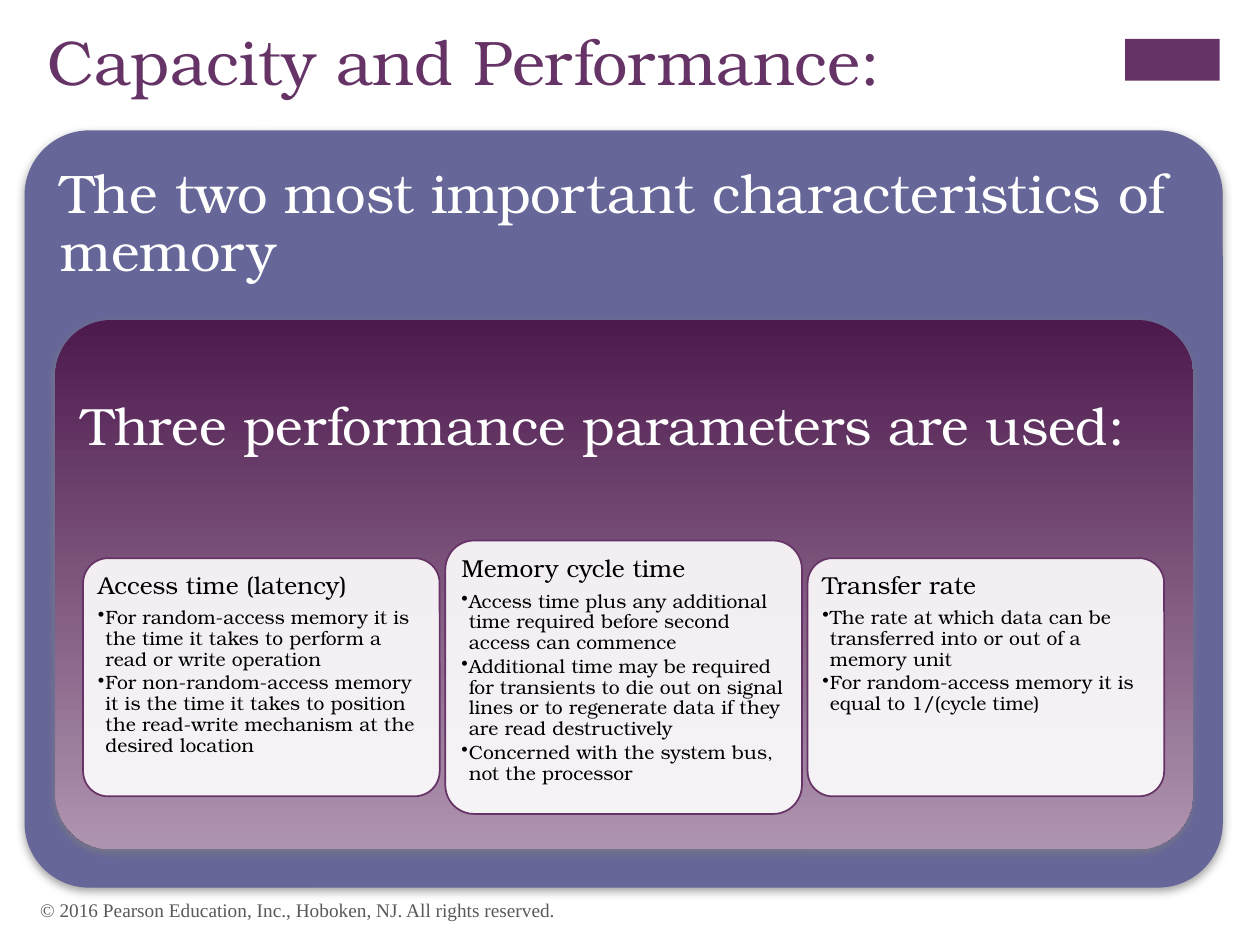
from dataclasses import dataclass

from lxml.etree import SubElement
from pptx import Presentation
from pptx.dml.color import RGBColor
from pptx.enum.shapes import MSO_SHAPE
from pptx.enum.text import MSO_ANCHOR, MSO_AUTO_SIZE, PP_ALIGN
from pptx.oxml.ns import qn
from pptx.util import Inches, Pt

SERIF = "TeX Gyre Bonum"
PURPLE = "663366"
SLATE = "666699"
WHITE = "FFFFFF"
BLACK = "000000"

CARD_LEFT, CARD_STEP, CARD_WIDTH = 0.66, 2.875, 2.83
CARD_MIDDLE = 5.375
CARD_INSET = 0.06


@dataclass
class Card:
    heading: str
    height: float
    points: list[str]


CARDS = [
    Card("Access time (latency)", 1.89, [
        "For random-access memory it is the time it takes to perform a read or write operation",
        "For non-random-access memory it is the time it takes to position the read-write "
        "mechanism at the desired location",
    ]),
    Card("Memory cycle time", 2.17, [
        "Access time plus any additional time required before second access can commence",
        "Additional time may be required for transients to die out on signal lines or to "
        "regenerate data if they are read destructively",
        "Concerned with the system bus, not the processor",
    ]),
    Card("Transfer rate", 1.89, [
        "The rate at which data can be transferred into or out of a memory unit",
        "For random-access memory it is equal to 1/(cycle time)",
    ]),
]


def color(hex_value: str) -> RGBColor:
    return RGBColor.from_string(hex_value)


def place(shape, left: float, top: float, width: float, height: float) -> None:
    shape.left, shape.top = Inches(left), Inches(top)
    shape.width, shape.height = Inches(width), Inches(height)


def set_font(paragraph, size: float, hex_value: str, name: str = SERIF) -> None:
    font = paragraph.font
    font.name, font.size = name, Pt(size)
    font.color.rgb = color(hex_value)


def add_panel(slide, left: float, top: float, width: float, height: float,
              corner: float, inset: float, text_top: float):
    """Add a rounded panel whose text starts at the upper left."""
    shape = slide.shapes.add_shape(
        MSO_SHAPE.ROUNDED_RECTANGLE,
        Inches(left), Inches(top), Inches(width), Inches(height))
    shape.adjustments[0] = corner
    shape.shadow.inherit = False
    frame = shape.text_frame
    frame.word_wrap = True
    frame.vertical_anchor = MSO_ANCHOR.TOP
    frame.margin_left = frame.margin_right = frame.margin_bottom = Inches(inset)
    frame.margin_top = Inches(text_top)
    return shape


def add_soft_shadow(shape) -> None:
    effects = shape._element.spPr.find(qn("a:effectLst"))
    shadow = SubElement(effects, qn("a:outerShdw"), blurRad=str(Pt(5)), dist=str(Pt(2)),
                        dir="5400000", algn="ctr", rotWithShape="0")
    shade = SubElement(shadow, qn("a:srgbClr"), val="808080")
    SubElement(shade, qn("a:alpha"), val="75000")


def set_outline(shape, hex_value: str, width: float) -> None:
    shape.line.color.rgb = color(hex_value)
    shape.line.width = Pt(width)


def write(paragraph, text: str, size: float, hex_value: str, gap: float = 0.35) -> None:
    """Fill a paragraph; gap is the space after as a share of the text size."""
    paragraph.text = text
    paragraph.alignment = PP_ALIGN.LEFT
    paragraph.line_spacing = 0.9
    paragraph.space_after = Pt(size * gap)
    set_font(paragraph, size, hex_value)


def add_bullet(paragraph) -> None:
    properties = paragraph._p.get_or_add_pPr()
    properties.set("marL", str(Inches(0.06)))
    properties.set("indent", str(-Inches(0.06)))
    SubElement(properties, qn("a:buChar"), char="•")


def add_card(slide, card: Card, left: float) -> None:
    shape = add_panel(slide, left, CARD_MIDDLE - card.height / 2, CARD_WIDTH, card.height,
                      0.105, CARD_INSET, CARD_INSET)
    shape.fill.solid()
    shape.fill.fore_color.rgb = color(WHITE)
    fill_color = shape._element.spPr.find(qn("a:solidFill"))[0]
    SubElement(fill_color, qn("a:alpha"), val="90000")
    set_outline(shape, PURPLE, 1)
    frame = shape.text_frame
    write(frame.paragraphs[0], card.heading, 14, BLACK)
    for point in card.points:
        paragraph = frame.add_paragraph()
        add_bullet(paragraph)
        write(paragraph, point, 11, BLACK, gap=0.15)


def main() -> None:
    presentation = Presentation()
    presentation.slide_width, presentation.slide_height = Inches(10), Inches(7.5)
    slide = presentation.slides.add_slide(presentation.slide_layouts[5])

    # Title and corner block
    title = slide.shapes.title
    place(title, 0.28, 0.13, 8.26, 1.22)
    title.text_frame.text = "Capacity and Performance:"
    title.text_frame.vertical_anchor = MSO_ANCHOR.TOP
    title.text_frame.auto_size = MSO_AUTO_SIZE.NONE
    title.text_frame.paragraphs[0].alignment = PP_ALIGN.LEFT
    set_font(title.text_frame.paragraphs[0], 36, PURPLE)

    block = slide.shapes.add_shape(
        MSO_SHAPE.RECTANGLE, Inches(8.93), Inches(0.31), Inches(0.75), Inches(0.33))
    block.shadow.inherit = False
    block.fill.solid()
    block.fill.fore_color.rgb = color(PURPLE)
    block.line.fill.background()

    # Outer panel
    outer = add_panel(slide, 0.2, 1.04, 9.5, 6, 0.085, 0.13, 0.13)
    outer.fill.solid()
    outer.fill.fore_color.rgb = color(SLATE)
    set_outline(outer, SLATE, 0.75)
    add_soft_shadow(outer)
    write(outer.text_frame.paragraphs[0],
          "The two most important characteristics of memory", 31, WHITE)

    # Inner panel, dark at the top
    inner = add_panel(slide, 0.44, 2.54, 9.03, 4.2, 0.105, 0.08, 0.51)
    inner.fill.gradient()
    inner.fill.gradient_angle = 270
    for stop, position, shade in zip(inner.fill.gradient_stops, (0, 1), ("4D1A4D", "AF94AF")):
        stop.position = position
        stop.color.rgb = color(shade)
    inner.line.fill.background()
    add_soft_shadow(inner)
    write(inner.text_frame.paragraphs[0],
          "Three performance parameters are used:", 30, WHITE)

    # Parameter cards
    for index, card in enumerate(CARDS):
        add_card(slide, card, CARD_LEFT + index * CARD_STEP)

    # Copyright line
    notice = slide.shapes.add_textbox(Inches(0.22), Inches(7.02), Inches(6.7), Inches(0.4))
    notice.text_frame.word_wrap = True
    notice.text_frame.vertical_anchor = MSO_ANCHOR.MIDDLE
    notice.text_frame.text = "© 2016 Pearson Education, Inc., Hoboken, NJ. All rights reserved."
    set_font(notice.text_frame.paragraphs[0], 11, "595959", "Times New Roman")

    presentation.save("out.pptx")


if __name__ == "__main__":
    main()
